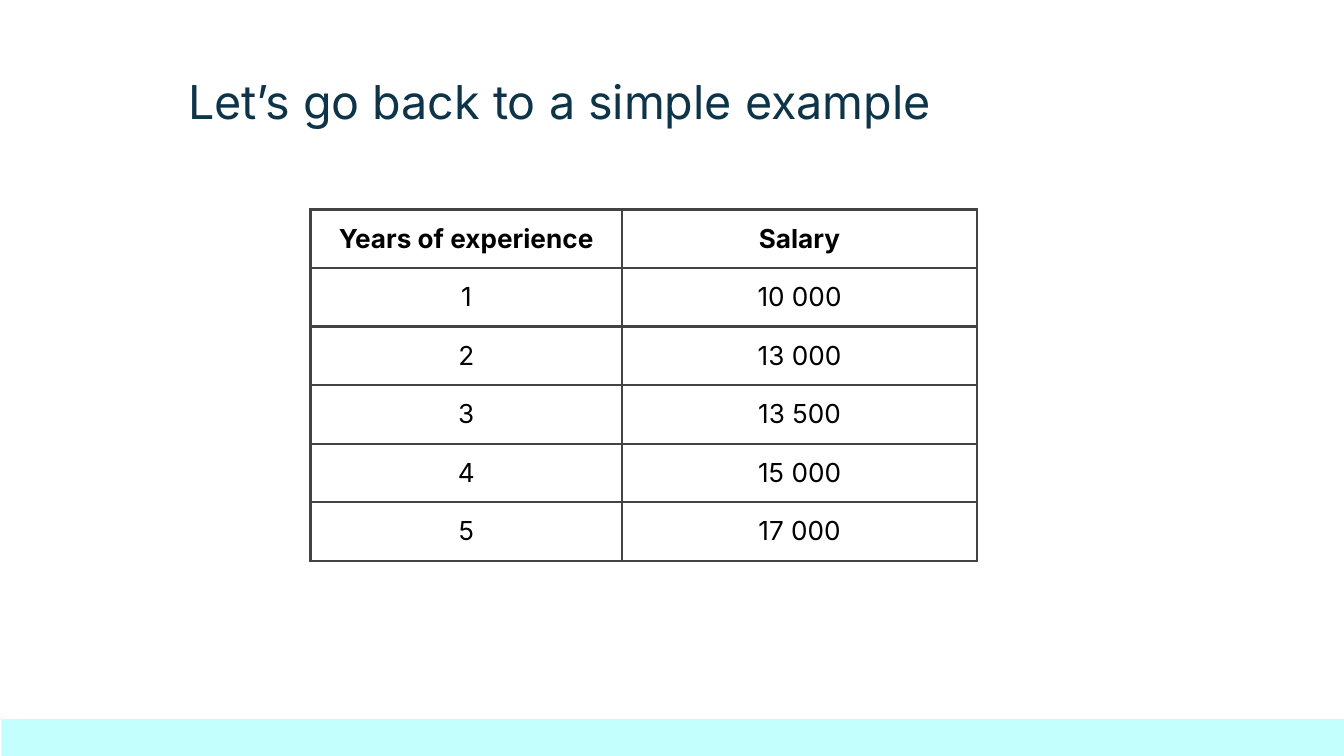
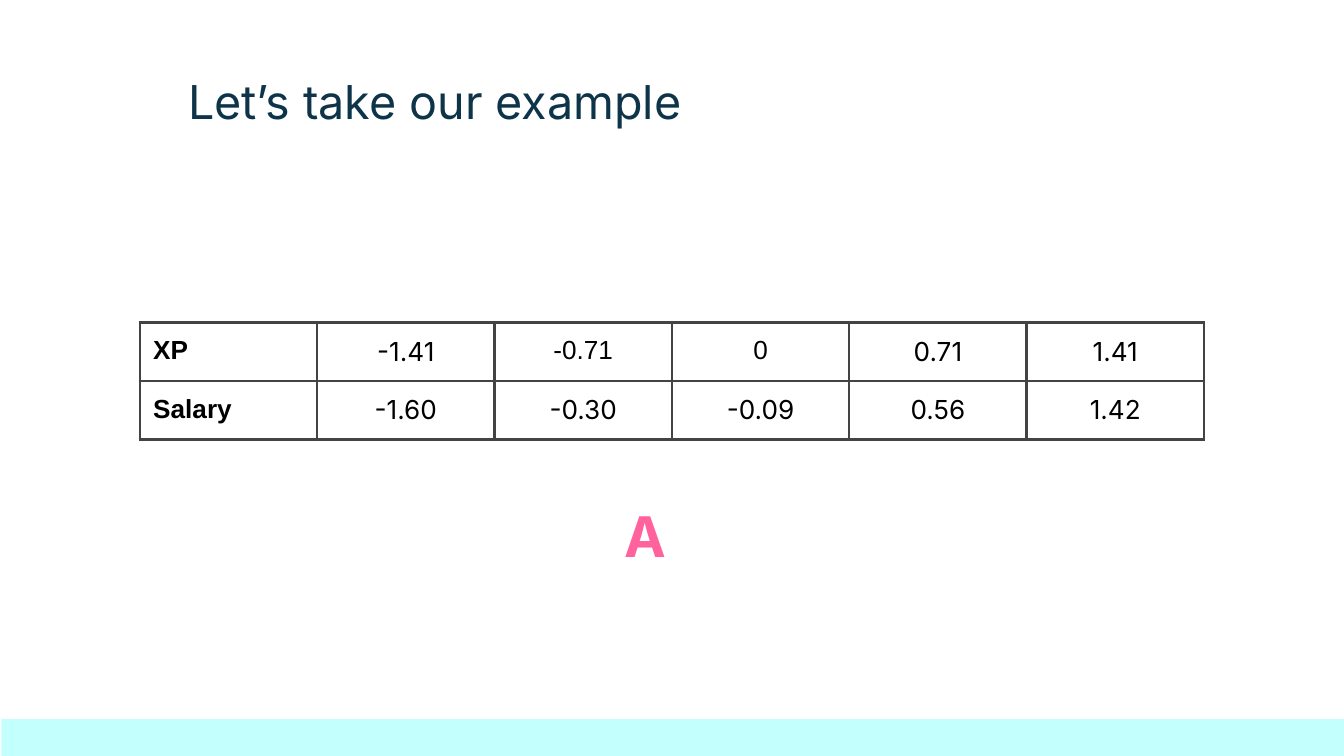
from dataclasses import dataclass

from lxml.etree import SubElement
from pptx import Presentation
from pptx.dml.color import RGBColor
from pptx.enum.shapes import MSO_SHAPE as Preset
from pptx.enum.text import MSO_ANCHOR as Anchor, MSO_AUTO_SIZE as AutoSize, PP_ALIGN as Align
from pptx.oxml.ns import qn
from pptx.util import Inches, Pt

# Colours and fonts
NAVY = RGBColor(0x0E, 0x34, 0x49)
AQUA = RGBColor(0xC3, 0xFF, 0xFC)
PINK = RGBColor(0xFF, 0x62, 0x9D)
GREY = RGBColor(0x43, 0x43, 0x43)
BLACK = RGBColor(0, 0, 0)
INTER, ARIAL = "Inter", "Arial"

# Grid: square units on a 16:9 slide
UNIT = Inches(0.1)
COLUMNS = 100
ROWS = COLUMNS * 9 / 16
ROW_HEIGHT = 4.2

TITLE_FORMAT = {"size": Pt(25), "name": INTER, "bold": False}
CELL_FORMAT = {"size": Pt(14), "name": INTER, "bold": False}
HEADER_FORMAT = CELL_FORMAT | {"bold": True}
ANSWER_FORMAT = {"size": Pt(30), "name": INTER, "bold": True}


@dataclass
class Box:
    left: float
    top: float
    width: float
    height: float

    def lengths(self):
        return [round(value * UNIT) for value in (self.left, self.top, self.width, self.height)]


def write_text(frame, text, font_format, color, align):
    margins = dict.fromkeys(("margin_left", "margin_top", "margin_right", "margin_bottom"), UNIT)
    for name, value in margins.items():
        setattr(frame, name, value)
    frame.word_wrap = True
    paragraph = frame.paragraphs[0]
    paragraph.alignment = align
    run = paragraph.add_run()
    run.text = text
    for name, value in font_format.items():
        setattr(run.font, name, value)
    run.font.color.rgb = color


def add_base_slide(presentation, title, title_width):
    slide = presentation.slides.add_slide(presentation.slide_layouts[5])
    # Title
    placeholder = slide.shapes.title
    box = Box(13, 4.4, title_width, 5.8)
    for name, value in zip(("left", "top", "width", "height"), box.lengths()):
        setattr(placeholder, name, value)
    frame = placeholder.text_frame
    frame.auto_size = AutoSize.NONE
    frame.vertical_anchor = Anchor.TOP
    write_text(frame, title, TITLE_FORMAT, NAVY, Align.LEFT)
    # Footer band
    band = slide.shapes.add_shape(Preset.RECTANGLE, *Box(0.1, 53.5, COLUMNS, 2.75).lengths())
    band.shadow.inherit = False
    band.fill.solid()
    band.fill.fore_color.rgb = AQUA
    band.line.fill.background()
    return slide


def outline_cell(cell):
    properties = cell._tc.get_or_add_tcPr()
    for side in ("lnL", "lnR", "lnT", "lnB"):
        line = SubElement(properties, qn(f"a:{side}"), w=str(Pt(1.5)))
        fill = SubElement(line, qn("a:solidFill"))
        SubElement(fill, qn("a:srgbClr"), val=str(GREY))
    cell.fill.background()


def add_grid_table(slide, left, top, column_widths, rows, cell_style):
    """Draw rows of text; cell_style(row, column) gives font format and alignment."""
    box = Box(left, top, sum(column_widths), ROW_HEIGHT * len(rows))
    table = slide.shapes.add_table(len(rows), len(column_widths), *box.lengths()).table
    table.first_row = table.horz_banding = False
    for column, width in zip(table.columns, column_widths):
        column.width = round(width * UNIT)
    for row_index, texts in enumerate(rows):
        table.rows[row_index].height = round(ROW_HEIGHT * UNIT)
        for column_index, text in enumerate(texts):
            cell = table.cell(row_index, column_index)
            outline_cell(cell)
            cell.margin_left = cell.margin_right = UNIT
            cell.margin_top = cell.margin_bottom = UNIT
            font_format, align = cell_style(row_index, column_index)
            write_text(cell.text_frame, text, font_format, BLACK, align)


def add_salary_slide(presentation):
    slide = add_base_slide(presentation, "Let’s go back to a simple example", 58.1)
    salaries = ["10 000", "13 000", "13 500", "15 000", "17 000"]
    rows = [("Years of experience", "Salary")]
    rows += [(str(year), salary) for year, salary in enumerate(salaries, 1)]

    def style(row, column):
        return (CELL_FORMAT if row else HEADER_FORMAT), Align.CENTER

    add_grid_table(slide, 23.1, 15.6, (23.2, 26.4), rows, style)


def add_scaled_slide(presentation):
    slide = add_base_slide(presentation, "Let’s take our example", 81.5)
    rows = [
        ("XP", "-1.41", "-0.71", "0", "0.71", "1.41"),
        ("Salary", "-1.60", "-0.30", "-0.09", "0.56", "1.42"),
    ]
    arial_cells = {(0, 2), (0, 3)}

    def style(row, column):
        if column == 0:
            return HEADER_FORMAT | {"name": ARIAL}, Align.LEFT
        font = ARIAL if (row, column) in arial_cells else INTER
        return CELL_FORMAT | {"name": font}, Align.CENTER

    add_grid_table(slide, 10.4, 24, [13.2] * 6, rows, style)
    # Name of the matrix
    label = slide.shapes.add_textbox(*Box(39.7, 36.3, 16.6, 4.2).lengths())
    write_text(label.text_frame, "A", ANSWER_FORMAT, PINK, Align.CENTER)


def main():
    presentation = Presentation()
    presentation.slide_width = COLUMNS * UNIT
    presentation.slide_height = round(ROWS * UNIT)
    add_salary_slide(presentation)
    add_scaled_slide(presentation)
    presentation.save("out.pptx")


if __name__ == "__main__":
    main()
